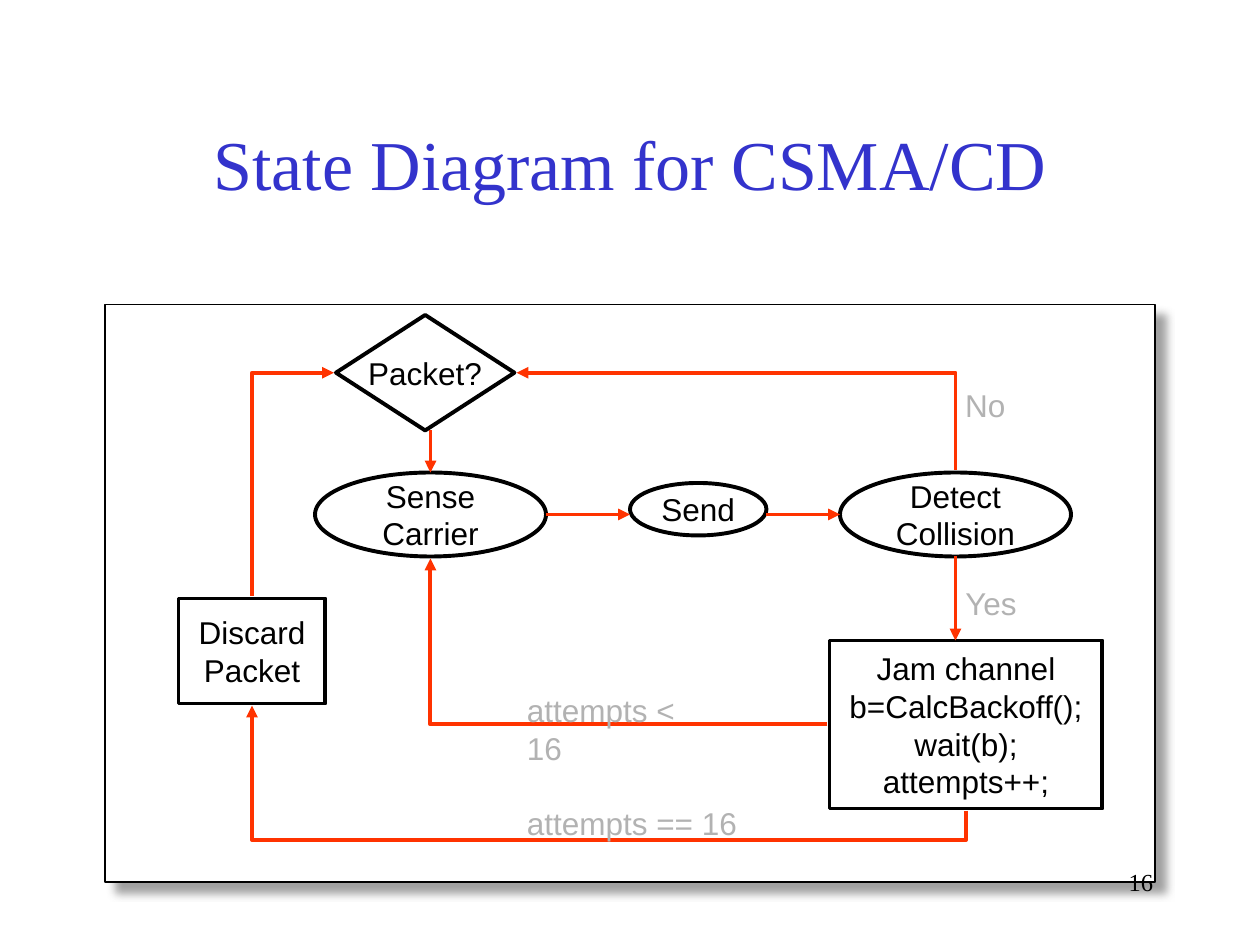
from pptx import Presentation
from pptx.dml.color import RGBColor
from pptx.enum.shapes import MSO_CONNECTOR, MSO_SHAPE
from pptx.enum.text import MSO_ANCHOR, MSO_AUTO_SIZE, PP_ALIGN
from pptx.oxml import parse_xml
from pptx.oxml.ns import qn
from pptx.util import Cm, Pt
from lxml.etree import SubElement

COLOR = {"title": "3333CC", "ink": "000000", "paper": "FFFFFF",
         "arrow": "FF3300", "label": "B2B2B2", "shade": "808080"}
UNIT = 2.54 / 12  # the grid step: a twelfth of an inch, in cm
NS = 'xmlns:a="http://schemas.openxmlformats.org/drawingml/2006/main"'

# Content: places are in grid steps
PANEL = (10, 29, 100, 55)
RECT, OVAL = MSO_SHAPE.RECTANGLE, MSO_SHAPE.OVAL
STATES = [  # text, preset, box, wrap
    ("Packet?", MSO_SHAPE.FLOWCHART_DECISION, (32, 30, 17, 11), False),
    ("Sense Carrier", OVAL, (30, 45, 22, 8), True),
    ("Discard Packet", RECT, (17, 57, 14, 10), True),
    ("Send", OVAL, (60, 46, 13, 5), False),
    ("Detect Collision", OVAL, (80, 45, 22, 8), True),
    ("Jam channel b=CalcBackoff(); wait(b);\nattempts++;", RECT,
     (79, 61, 26, 16), True),
]
STEPS = [  # straight arrows
    ((41, 41), (41, 45)),
    ((91, 53), (91, 61)),
    ((52, 49), (60, 49)),
    ((73, 49), (80, 49)),
]
BENDS = [  # one corner, level part first; which end has the arrowhead
    ((31.8, 35.5), (24, 56.8), "headEnd"),
    ((49.2, 35.5), (91, 44.8), "headEnd"),
    ((78.8, 69), (41, 53.2), "tailEnd"),
]
LOOP = ((92, 77.2), (24, 67.2), 80)  # start, end, level of the low run
LABELS = [
    ("No", (90.75, 36.2, 6.2, 4.8)),
    ("Yes", (90.75, 55, 7.6, 4.8)),
    ("attempts < 16", (49, 65.2, 20.6, 4.8)),
    ("attempts == 16", (49, 76, 22.4, 4.8)),
]
# Text formats
SANS = {"name": "Arial", "size": Pt(18)}
SERIF = {"name": "Times New Roman"}
MID = {"vertical_anchor": MSO_ANCHOR.MIDDLE}


def grid(vals):
    return [Cm(v * UNIT) for v in vals]


def rgb(key):
    return RGBColor.from_string(COLOR[key])


def apply(obj, form):
    for key, val in form.items():
        setattr(obj, key, val)


def write(shape, text, font, color, align, frame):
    body = shape.text_frame
    apply(body, {"word_wrap": True, **frame})
    body.text = text
    for para in body.paragraphs:
        para.alignment = align
        apply(para.font, font)
        para.font.color.rgb = rgb(color)


def node(slide, kind, box, width):
    shape = slide.shapes.add_shape(kind, *grid(box))
    shape.shadow.inherit = False
    shape.fill.solid()
    shape.fill.fore_color.rgb = rgb("paper")
    shape.line.color.rgb = rgb("ink")
    shape.line.width = Pt(width)
    return shape


def label(slide, text, box, font, color, align, frame):
    box = slide.shapes.add_textbox(*grid(box))
    write(box, text, font, color, align, frame)


def arrow(slide, kind, start, end, tip="tailEnd"):
    line = slide.shapes.add_connector(kind, *grid(start + end))
    line.line.color.rgb = rgb("arrow")
    line.line.width = Pt(2.25)
    props = line._element.spPr
    SubElement(props.find(qn("a:ln")), qn("a:" + tip), type="triangle")
    SubElement(props, qn("a:effectLst"))
    return props


def bend(slide, start, end, tip):
    props = arrow(slide, MSO_CONNECTOR.ELBOW, start, end, tip)
    props.find(qn("a:prstGeom")).set("prst", "bentConnector2")


def loop(slide, start, end, low):
    # A three-part elbow leaving downwards: its box is turned by 270 degrees
    (x1, y1), (x2, y2) = start, end
    mx, my = (x1 + x2) / 2, (y1 + y2) / 2
    dx, dy = (x1 - x2) / 2, (y1 - y2) / 2
    props = arrow(slide, MSO_CONNECTOR.ELBOW,
                  (mx - dy, my + dx), (mx + dy, my - dx))
    props.find(qn("a:xfrm")).set("rot", str(270 * 60000))
    geom = props.find(qn("a:prstGeom"))
    adjs = geom.find(qn("a:avLst"))
    if adjs is None:
        adjs = SubElement(geom, qn("a:avLst"))
    ratio = round((y1 - low) / (y1 - y2) * 100000)
    SubElement(adjs, qn("a:gd"), name="adj1", fmla=f"val {ratio}")


def shade(shape):
    props = shape._element.spPr
    old = props.find(qn("a:effectLst"))
    new = parse_xml(
        f'<a:effectLst {NS}><a:outerShdw blurRad="{Pt(5)}" dist="{Pt(8.5)}" '
        f'dir="2700000" algn="ctr" rotWithShape="0">'
        f'<a:srgbClr val="{COLOR["shade"]}"><a:alpha val="75000"/>'
        f'</a:srgbClr></a:outerShdw></a:effectLst>')
    props.replace(old, new)


def main():
    deck = Presentation()
    deck.slide_width, deck.slide_height = Cm(25.4), Cm(19.05)
    slide = deck.slides.add_slide(deck.slide_layouts[6])

    # Title and panel
    label(slide, "State Diagram for CSMA/CD", (9, 8, 102, 15),
          {**SERIF, "size": Pt(40)}, "title", PP_ALIGN.CENTER, MID)
    shade(node(slide, RECT, PANEL, 0.75))

    # States
    for text, kind, box, wrap in STATES:
        write(node(slide, kind, box, 2.25), text, SANS, "ink",
              PP_ALIGN.CENTER, {**MID, "word_wrap": wrap})

    # Arrows
    for start, end in STEPS:
        arrow(slide, MSO_CONNECTOR.STRAIGHT, start, end)
    for start, end, tip in BENDS:
        bend(slide, start, end, tip)
    loop(slide, *LOOP)

    # Conditions and page number
    for text, box in LABELS:
        label(slide, text, box, SANS, "label", PP_ALIGN.LEFT,
              {"word_wrap": False,
               "auto_size": MSO_AUTO_SIZE.SHAPE_TO_FIT_TEXT})
    label(slide, "16", (86, 82, 25, 6), {**SERIF, "size": Pt(14)},
          "ink", PP_ALIGN.RIGHT, {})

    deck.save("out.pptx")


if __name__ == "__main__":
    main()
